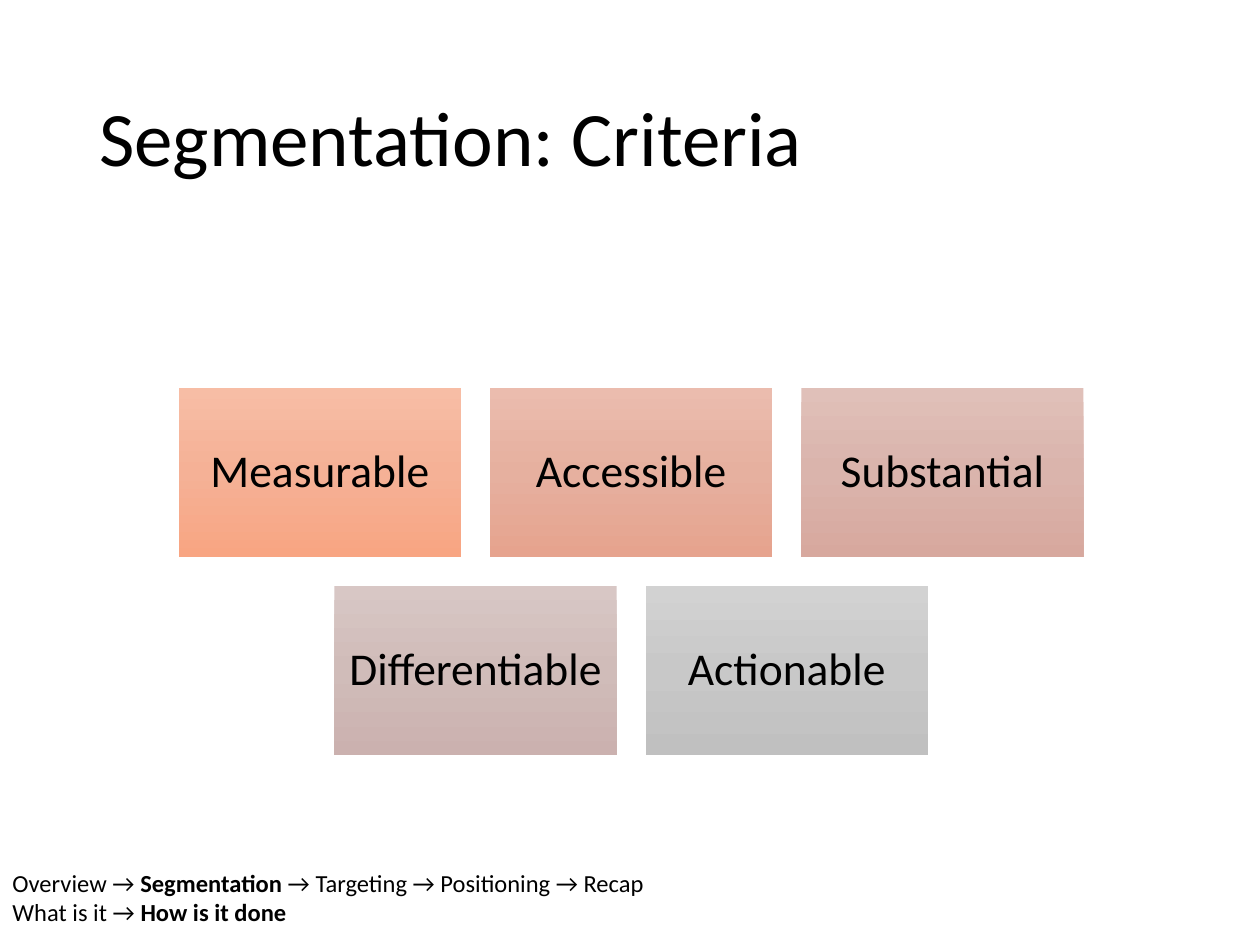
from copy import deepcopy

from pptx import Presentation
from pptx import util as u
from pptx.dml.color import RGBColor
from pptx.enum import shapes, text
from pptx.oxml.ns import qn

HUES = {
    "ink": "000000",
    "Measurable": ("F7BDA5", "F5B196", "F8A582"),
    "Accessible": ("EBBCAE", "E6B09F", "E6A38E"),
    "Substantial": ("E0C0B9", "DAB4AC", "D7A89E"),
    "Differentiable": ("D8C7C5", "D0BCB9", "CBB1AF"),
    "Actionable": ("D2D2D2", "C8C8C8", "C0C0C0"),
}
ROWS = (("Measurable", "Accessible", "Substantial"),
        ("Differentiable", "Actionable"))
WIDE, HIGH = 2.24, 1.34
MID, TOP = 3.89, 3.08
STEP, DROP = 2.47, 1.57
TRAIL = (
    (("Overview → ", False), ("Segmentation", True),
     (" → Targeting → Positioning → Recap", False)),
    (("What is it → ", False), ("How is it done", True)),
)


class Deck:
    """Hold the slide and its text style."""

    def __init__(self, slide, font="Calibri"):
        self.slide = slide
        self.font = font

    def put(self, item, values):
        for name, value in values.items():
            setattr(item, name, value)

    def letter(self, shape, lines, size, frame, para):
        body = shape.text_frame
        self.put(body, {"word_wrap": True, **frame})
        for i, line in enumerate(lines):
            row = body.add_paragraph() if i else body.paragraphs[0]
            self.put(row, para)
            for words, bold in line:
                run = row.add_run()
                run.text = words
                self.put(run.font, {"name": self.font, "size": u.Pt(size), "bold": bold})
                run.font.color.rgb = RGBColor.from_string(HUES["ink"])

    def label(self, box, lines, size, frame, para):
        shape = self.slide.shapes.add_textbox(*map(u.Inches, box))
        self.letter(shape, lines, size, frame, para)

    def shade(self, shape, hues):
        fill = shape.fill
        fill.gradient()
        fill.gradient_angle = 270
        stops = shape.element.spPr.find(qn("a:gradFill")).find(qn("a:gsLst"))
        stops.insert(1, deepcopy(stops[0]))
        for i, (stop, hue) in enumerate(zip(fill.gradient_stops, hues)):
            stop.position = i / 2
            stop.color.rgb = RGBColor.from_string(hue)

    def tile(self, box, name):
        shape = self.slide.shapes.add_shape(
            shapes.MSO_SHAPE.RECTANGLE, *map(u.Inches, box))
        shape.shadow.inherit = False
        shape.line.fill.background()
        self.shade(shape, HUES[name])
        sides = ("left", "top", "right", "bottom")
        frame = {f"margin_{side}": u.Inches(0.1) for side in sides}
        frame["vertical_anchor"] = text.MSO_ANCHOR.MIDDLE
        self.letter(shape, [[(name, False)]], 26, frame,
                    {"alignment": text.PP_ALIGN.CENTER, "line_spacing": 0.9})


def main():
    show = Presentation()
    show.slide_width, show.slide_height = u.Inches(10), u.Inches(7.5)
    deck = Deck(show.slides.add_slide(show.slide_layouts[6]))
    deck.label((0.69, 0.4, 8.62, 1.45), [[("Segmentation: Criteria", False)]], 44,
               {"vertical_anchor": text.MSO_ANCHOR.MIDDLE}, {"line_spacing": 0.9})
    for r, names in enumerate(ROWS):
        for c, name in enumerate(names):
            left = MID + (c - (len(names) - 1) / 2) * STEP
            deck.tile((left, TOP + r * DROP, WIDE, HIGH), name)
    deck.label((0, 6.84, 9.68, 0.57), TRAIL, 14,
               {"auto_size": text.MSO_AUTO_SIZE.SHAPE_TO_FIT_TEXT}, {})
    show.save("out.pptx")


if __name__ == "__main__":
    main()
